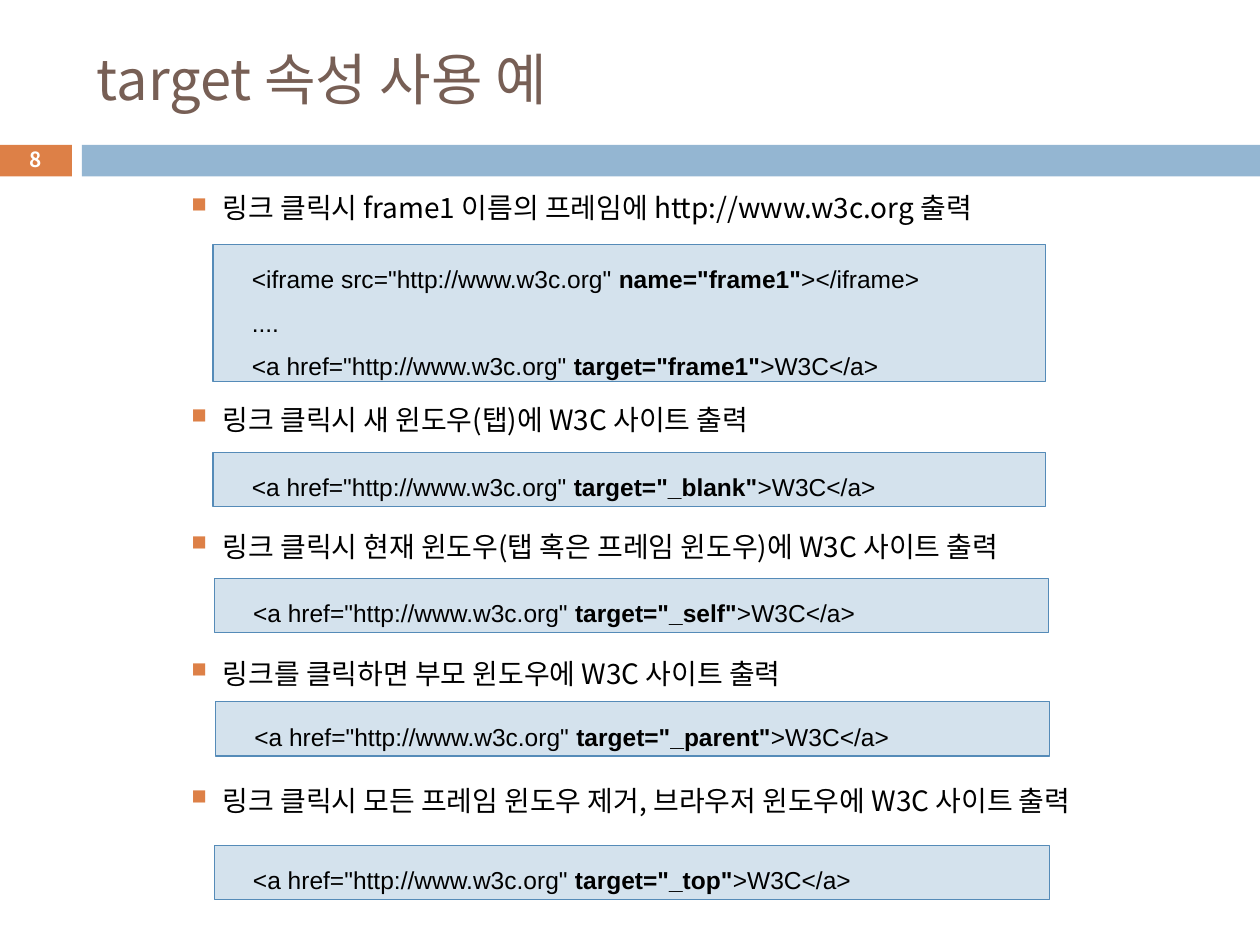
from lxml.etree import SubElement
from pptx import Presentation
from pptx.dml.color import RGBColor
from pptx.enum.shapes import MSO_SHAPE
from pptx.enum.text import MSO_ANCHOR, PP_ALIGN
from pptx.oxml.ns import qn
from pptx.util import Inches, Pt

THEME = {
    "korean": "Noto Sans CJK KR", "code": "Arial",
    "title": "775F55", "text": "000000", "white": "FFFFFF",
    "orange": "DD8047", "blue": "94B6D2",
    "code_fill": "D4E2ED", "code_line": "558BB8",
    "title_size": 32, "bullet_size": 16, "code_size": 14, "number_size": 11.9,
}
TITLE = "target 속성 사용 예"
PAGE_NUMBER = "8"
LINK = '<a href="http://www.w3c.org" '
LINK_END = ">W3C</a>"
BULLETS = [
    (0, "링크 클릭시 frame1 이름의 프레임에 http://www.w3c.org 출력"),
    (5, "링크 클릭시 새 윈도우(탭)에 W3C 사이트 출력"),
    (8, "링크 클릭시 현재 윈도우(탭 혹은 프레임 윈도우)에 W3C 사이트 출력"),
    (11, "링크를 클릭하면 부모 윈도우에 W3C 사이트 출력"),
    (14, "링크 클릭시 모든 프레임 윈도우 제거, 브라우저 윈도우에 W3C 사이트 출력"),
]
IFRAME_LINES = [
    ('<iframe src="http://www.w3c.org" ', 'name="frame1"', "></iframe>"),
    ("....",),
    (LINK, 'target="frame1"', LINK_END),
]
CODE_BOXES = [
    (1.69, 1.94, 6.61, IFRAME_LINES),
    (1.69, 3.59, 6.61, [(LINK, 'target="_blank"', LINK_END)]),
    (1.7, 4.59, 6.62, [(LINK, 'target="_self"', LINK_END)]),
    (1.71, 5.57, 6.62, [(LINK, 'target="_parent"', LINK_END)]),
    (1.7, 6.71, 6.63, [(LINK, 'target="_top"', LINK_END)]),
]
BODY_TOP, ROW_STEP, ROW_HEIGHT = 1.47, 0.336, 0.35
CODE_LINE_HEIGHT, CODE_PADDING = 0.33, 0.1


def color(name):
    return RGBColor.from_string(THEME[name])


def add_span(para, text, font, size, tint, bold=False):
    span = para.add_run()
    span.text = text
    span.font.name = THEME[font]
    span.font.size = Pt(THEME[size])
    span.font.bold = bold
    span.font.color.rgb = color(tint)
    SubElement(span.font._element, qn("a:ea"), typeface=THEME[font])


def add_text_box(page, left, top, width, height):
    box = page.shapes.add_textbox(*map(Inches, (left, top, width, height)))
    box.text_frame.word_wrap = True
    box.text_frame.vertical_anchor = MSO_ANCHOR.MIDDLE
    return box.text_frame


def add_rectangle(page, left, top, width, height, fill, line=None):
    box = page.shapes.add_shape(
        MSO_SHAPE.RECTANGLE, *map(Inches, (left, top, width, height)))
    box.shadow.inherit = False
    box.fill.solid()
    box.fill.fore_color.rgb = color(fill)
    if line:
        box.line.color.rgb = color(line)
        box.line.width = Pt(0.75)
    else:
        box.line.fill.background()
    return box


def add_bullet(page, row, text):
    frame = add_text_box(page, 0.67, BODY_TOP + row * ROW_STEP, 8.92, ROW_HEIGHT)
    frame.margin_top = frame.margin_bottom = 0
    para = frame.paragraphs[0]
    settings = para._p.get_or_add_pPr()
    settings.set("marL", str(Inches(1)))
    settings.set("indent", str(Inches(-0.25)))
    bullet_color = SubElement(settings, qn("a:buClr"))
    SubElement(bullet_color, qn("a:srgbClr"), val=THEME["orange"])
    SubElement(settings, qn("a:buSzPct"), val="75000")
    SubElement(settings, qn("a:buChar"), char="■")
    add_span(para, text, "korean", "bullet_size", "text")


def add_code(page, left, top, width, lines):
    height = CODE_PADDING + CODE_LINE_HEIGHT * len(lines)
    box = add_rectangle(page, left, top, width, height, "code_fill", "code_line")
    frame = box.text_frame
    frame.word_wrap = True
    frame.vertical_anchor = MSO_ANCHOR.TOP
    for index, parts in enumerate(lines):
        para = frame.add_paragraph() if index else frame.paragraphs[0]
        para.alignment = PP_ALIGN.LEFT
        para.line_spacing = 1.47
        para._p.get_or_add_pPr().set("marL", str(Inches(0.21)))
        for position, text in enumerate(parts):
            add_span(para, text, "code", "code_size", "text", position == 1)


def main():
    deck = Presentation()
    deck.slide_width, deck.slide_height = Inches(10), Inches(7.5)
    page = deck.slides.add_slide(deck.slide_layouts[6])

    add_rectangle(page, -0.01, 1.15, 0.58, 0.25, "orange")
    add_rectangle(page, 0.65, 1.15, 9.35, 0.25, "blue")
    title = add_text_box(page, 0.67, 0.25, 8.92, 0.74)
    add_span(title.paragraphs[0], TITLE, "korean", "title_size", "title")
    for row, text in BULLETS:
        add_bullet(page, row, text)
    number = add_text_box(page, -0.01, 1.13, 0.58, 0.27).paragraphs[0]
    number.alignment = PP_ALIGN.CENTER
    add_span(number, PAGE_NUMBER, "korean", "number_size", "white", True)
    for code_box in CODE_BOXES:
        add_code(page, *code_box)

    deck.save("out.pptx")


if __name__ == "__main__":
    main()
